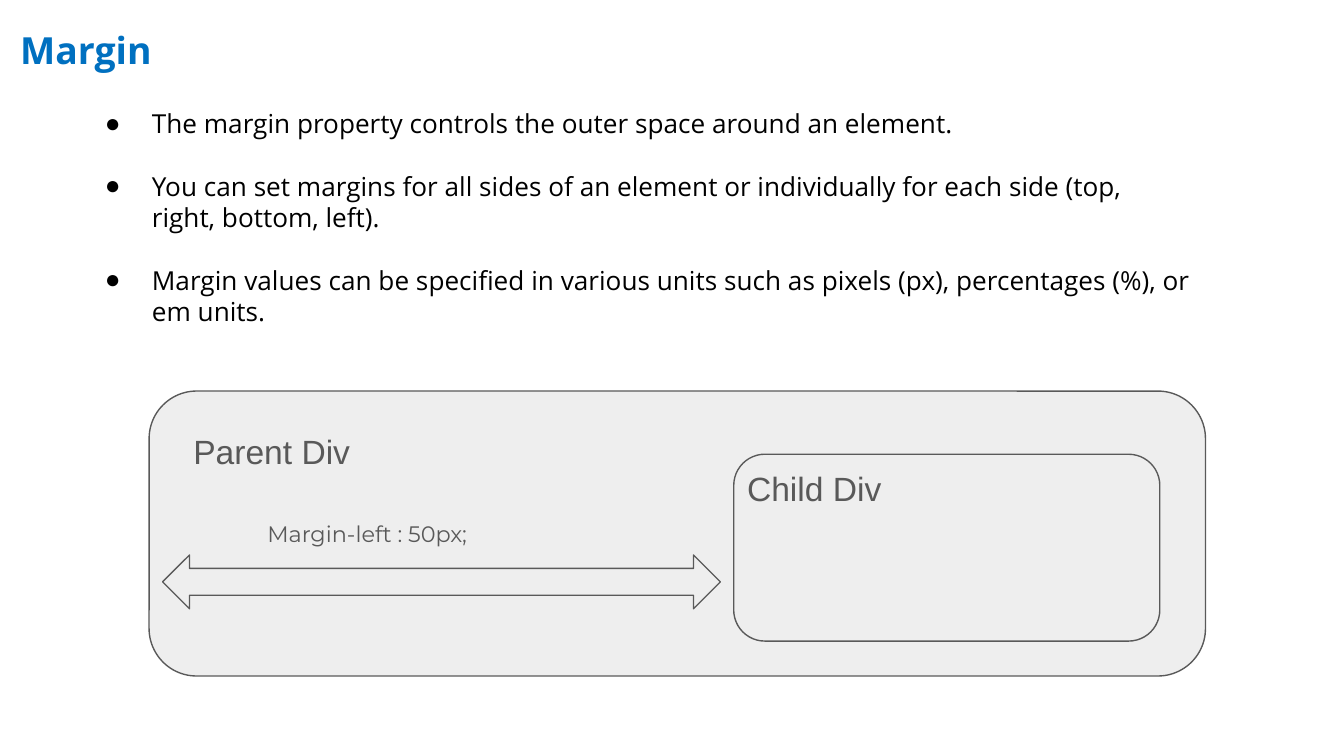
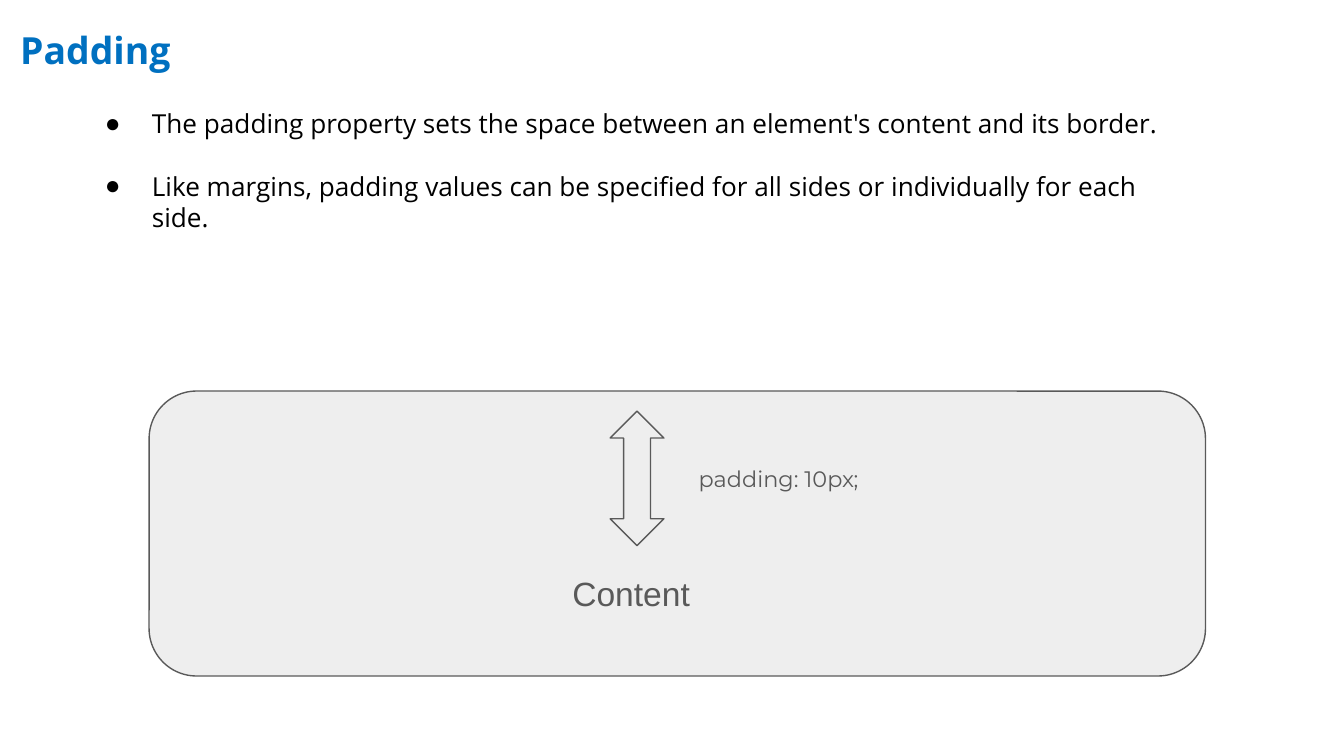
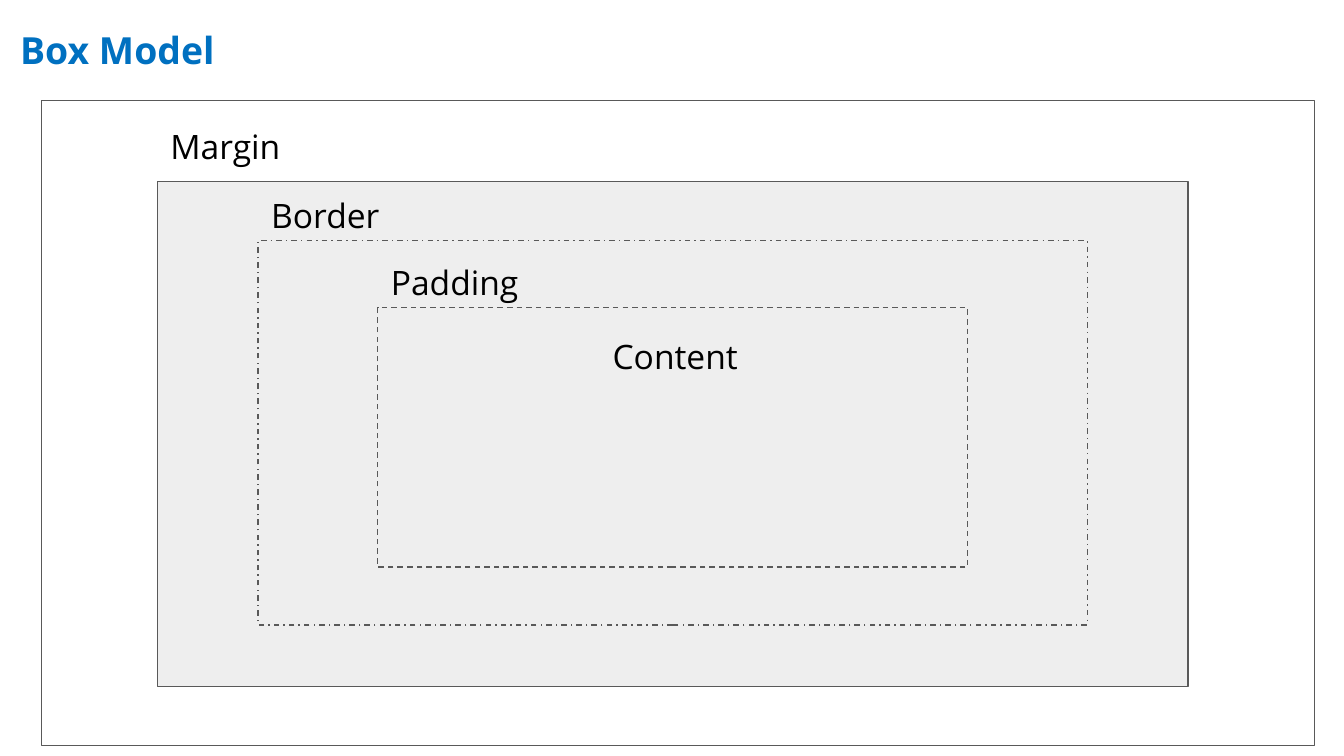
from dataclasses import dataclass
from typing import Optional

from lxml import etree
from pptx import Presentation
from pptx import util as u
from pptx.dml.color import RGBColor
from pptx.enum import dml, shapes, text
from pptx.oxml.ns import qn

BLUE = RGBColor(0x00, 0x70, 0xC0)
BLACK = RGBColor(0x00, 0x00, 0x00)
DARK = RGBColor(0x59, 0x59, 0x59)
PALE = RGBColor(0xEE, 0xEE, 0xEE)

SANS = "Open Sans"
PLAIN = "Arial"
HEAD = {"name": SANS, "size": u.Pt(20), "bold": True}
LIST = {"name": SANS, "size": u.Pt(14)}
NAME = {"name": PLAIN, "size": u.Pt(18)}
CODE = {"name": "Montserrat", "size": u.Pt(12)}
LAYER = {"name": SANS, "size": u.Pt(18)}

WIDE = u.Inches(10)
HIGH = u.Emu(WIDE * 9 // 16)
PAD = u.Inches(0.1)
GAP = u.Pt(16.7)
KIND = shapes.MSO_SHAPE
DASH = dml.MSO_LINE
FIT = text.MSO_AUTO_SIZE


@dataclass
class Box:
    """A preset shape; place is left, top, width and height in inches."""
    place: tuple
    kind: KIND = KIND.RECTANGLE
    fill: Optional[RGBColor] = PALE
    dash: Optional[DASH] = None


@dataclass
class Label:
    """A line of text; place is left, top and width in inches."""
    words: str
    place: tuple
    font: dict
    color: RGBColor = DARK
    height: float = 0.5


@dataclass
class Page:
    title: str
    items: list
    boxes: list
    labels: list
    width: float = 8.7
    depth: float = 0


PARENT = Box((1.11, 2.91, 7.86, 2.12), KIND.ROUNDED_RECTANGLE)

PAGES = [
    Page(
        "Margin",
        ["The margin property controls the outer space around an element.",
         "You can set margins for all sides of an element or individually "
         "for each side (top, right, bottom, left).",
         "Margin values can be specified in various units such as pixels (px), "
         "percentages (%), or em units."],
        [PARENT,
         Box((5.46, 3.38, 3.17, 1.39), KIND.ROUNDED_RECTANGLE),
         Box((1.21, 4.13, 4.15, 0.4), KIND.LEFT_RIGHT_ARROW)],
        [Label("Parent Div", (1.34, 3.11, 2.46), NAME),
         Label("Child Div", (5.46, 3.38, 1.89), NAME),
         Label("Margin-left : 50px;", (1.89, 3.77, 2.79), CODE, height=0.4)],
        depth=1.85,
    ),
    Page(
        "Padding",
        ["The padding property sets the space between an element's content "
         "and its border.",
         "Like margins, padding values can be specified for all sides or "
         "individually for each side."],
        [PARENT, Box((4.54, 3.06, 0.4, 1), KIND.UP_DOWN_ARROW)],
        [Label("Content", (4.16, 4.16, 1.18), NAME),
         Label("padding: 10px;", (5.1, 3.36, 2.79), CODE, height=0.4)],
        depth=1.14,
    ),
    Page(
        "Box Model",
        [],
        [Box((0.31, 0.75, 9.47, 4.8), fill=None),
         Box((1.17, 1.35, 7.67, 3.76)),
         Box((1.92, 1.79, 6.17, 2.86), dash=DASH.DASH_DOT),
         Box((2.81, 2.29, 4.39, 1.93), dash=DASH.DASH)],
        [Label("Content", (4.46, 2.4, 1.27), LAYER, BLACK),
         Label("Padding", (2.81, 1.85, 1.2), LAYER, BLACK),
         Label("Border", (1.92, 1.35, 1.2), LAYER, BLACK),
         Label("Margin", (1.17, 0.84, 1.07), LAYER, BLACK)],
        width=7.29,
    ),
]


def style(font, form: dict, color: RGBColor) -> None:
    for key, value in form.items():
        setattr(font, key, value)
    font.color.rgb = color


def place(shape, spot: tuple) -> None:
    for key, value in zip(("left", "top", "width", "height"), spot):
        setattr(shape, key, u.Inches(value))


def frame(shape, fit: FIT):
    """Give the shape's text even insets and start it at the top left."""
    body = shape.text_frame
    form = {"word_wrap": True, "auto_size": fit,
            "vertical_anchor": text.MSO_ANCHOR.TOP}
    form.update({f"margin_{side}": PAD
                 for side in ("left", "top", "right", "bottom")})
    for key, value in form.items():
        setattr(body, key, value)
    return body


def write(para, words: str, form: dict, color: RGBColor) -> None:
    para.alignment = text.PP_ALIGN.LEFT
    run = para.add_run()
    run.text = words
    style(run.font, form, color)


def bullet(para) -> None:
    props = para._p.get_or_add_pPr()
    props.set("marL", str(u.Inches(0.5)))
    props.set("indent", str(u.Inches(-0.35)))
    tint = etree.SubElement(props, qn("a:buClr"))
    etree.SubElement(tint, qn("a:srgbClr"), val=str(BLACK))
    etree.SubElement(props, qn("a:buFont"), typeface=PLAIN)
    etree.SubElement(props, qn("a:buChar"), char="●")


def add_title(slide, page: Page) -> None:
    title = slide.shapes.title
    place(title, (0.05, 0.1, page.width, 0.51))
    body = frame(title, FIT.NONE)
    write(body.paragraphs[0], page.title, HEAD, BLUE)


def add_list(slide, page: Page) -> None:
    holder = slide.placeholders[1]
    place(holder, (0.53, 0.7, 8.44, page.depth))
    body = frame(holder, FIT.SHAPE_TO_FIT_TEXT)
    for i, item in enumerate(page.items):
        para = body.add_paragraph() if i else body.paragraphs[0]
        bullet(para)
        para.space_before = GAP if i else u.Pt(0)
        write(para, item, LIST, BLACK)


def add_box(slide, box: Box) -> None:
    shape = slide.shapes.add_shape(box.kind, *map(u.Inches, box.place))
    shape.shadow.inherit = False
    if box.fill is None:
        shape.fill.background()
    else:
        shape.fill.solid()
        shape.fill.fore_color.rgb = box.fill
    shape.line.color.rgb = DARK
    shape.line.width = u.Pt(0.75)
    if box.dash is not None:
        shape.line.dash_style = box.dash


def add_label(slide, label: Label) -> None:
    spot = (*label.place, label.height)
    shape = slide.shapes.add_textbox(*map(u.Inches, spot))
    body = frame(shape, FIT.SHAPE_TO_FIT_TEXT)
    write(body.paragraphs[0], label.words, label.font, label.color)


def main() -> None:
    deck = Presentation()
    deck.slide_width = WIDE
    deck.slide_height = HIGH
    for page in PAGES:
        slide = deck.slides.add_slide(deck.slide_layouts[1 if page.items else 5])
        add_title(slide, page)
        if page.items:
            add_list(slide, page)
        for box in page.boxes:
            add_box(slide, box)
        for label in page.labels:
            add_label(slide, label)
    deck.save("out.pptx")


if __name__ == "__main__":
    main()
